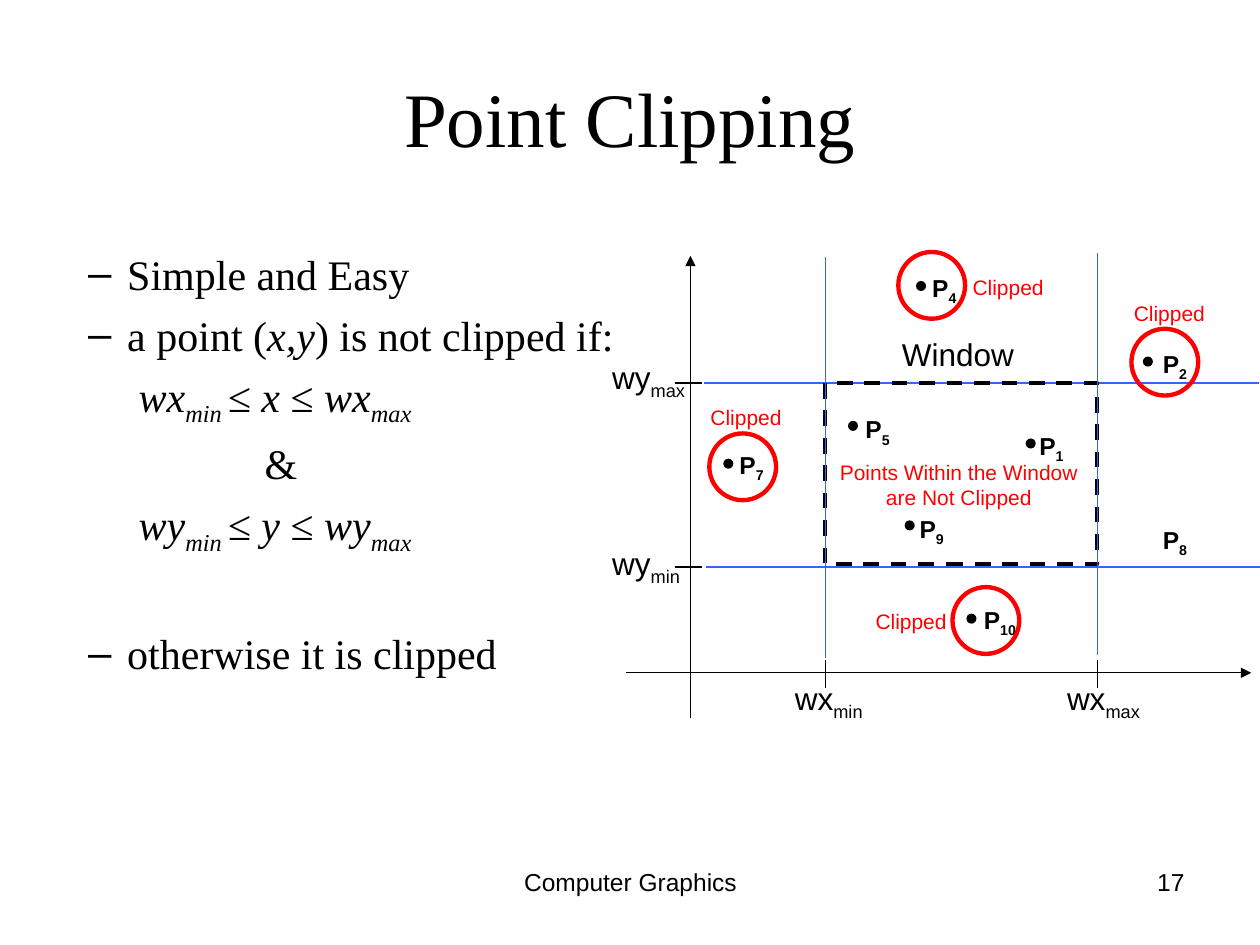
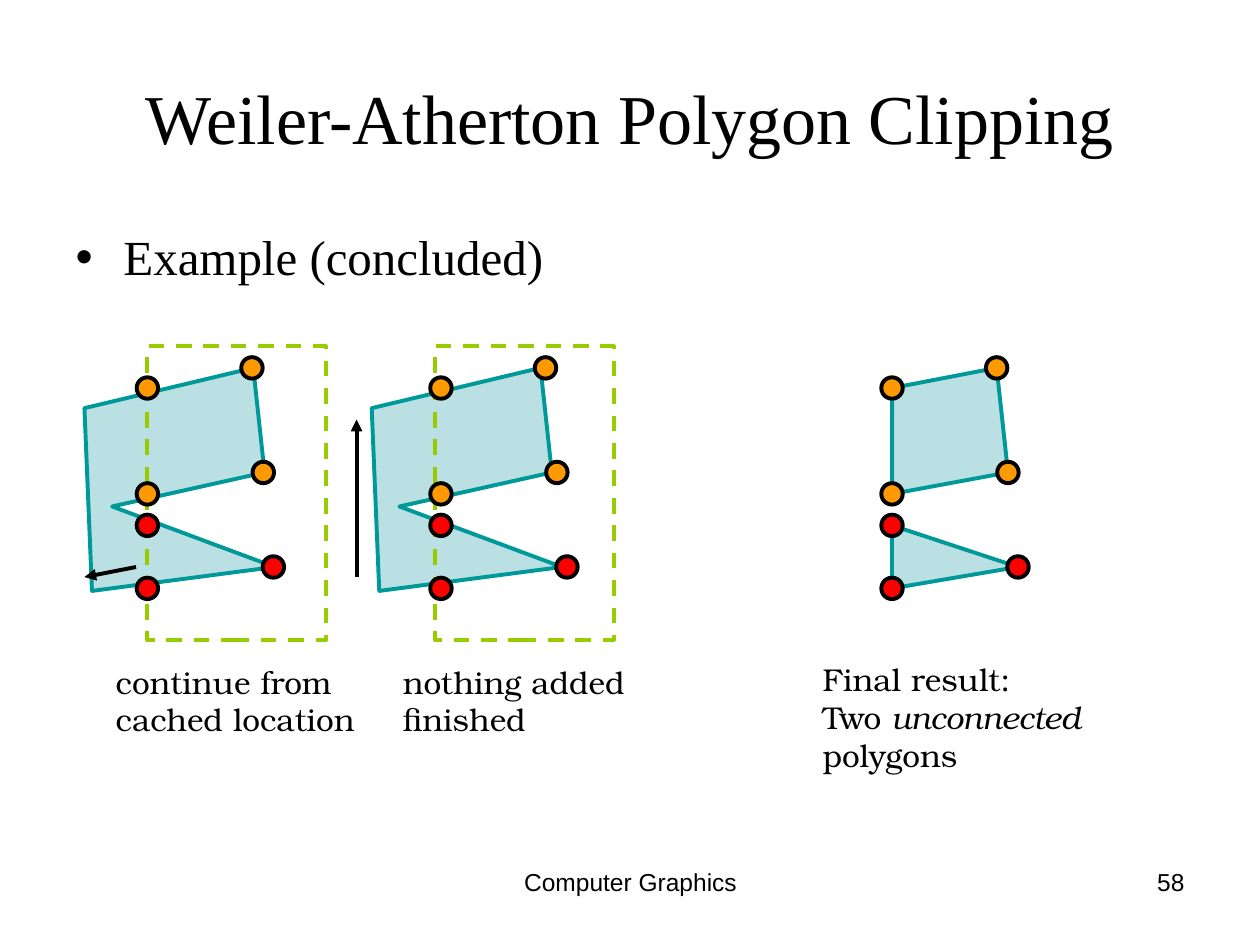
from lxml import etree
from pptx import Presentation
from pptx.dml.color import RGBColor
from pptx.enum.dml import MSO_LINE
from pptx.enum.shapes import MSO_CONNECTOR, MSO_SHAPE
from pptx.enum.text import MSO_ANCHOR, MSO_AUTO_SIZE, PP_ALIGN
from pptx.oxml.ns import qn
from pptx.util import Inches, Pt

LEFT, CENTER, RIGHT = PP_ALIGN.LEFT, PP_ALIGN.CENTER, PP_ALIGN.RIGHT
RECTANGLE, OVAL = MSO_SHAPE.RECTANGLE, MSO_SHAPE.OVAL
STRAIGHT, DASH = MSO_CONNECTOR.STRAIGHT, MSO_LINE.DASH
MIDDLE = MSO_ANCHOR.MIDDLE
FIXED_SIZE, GROW = MSO_AUTO_SIZE.NONE, MSO_AUTO_SIZE.SHAPE_TO_FIT_TEXT

SERIF, SANS, CAPTION_FONT = "Times New Roman", "Arial", "TeX Gyre Bonum"
BLACK, RED, ORANGE = "000000", "FF0000", "FF9900"
GUIDE_BLUE, TEAL, PALE_TEAL, GREEN = "3366FF", "009999", "BBE0E3", "99CC00"

# Clipped pieces: corner points relative to the left clip edge
UPPER_PIECE = [(0, 3.08), (0.83, 2.92), (0.92, 3.75), (0, 3.92)]
LOWER_PIECE = [(0, 4.17), (1, 4.5), (0, 4.67)]
# Subject polygon, relative to its leftmost point
SUBJECT = [(0, 3.24), (1.34, 2.92), (1.43, 3.75), (0.22, 4.02), (1.51, 4.5), (0.06, 4.69)]


def rgb(color):
    return RGBColor.from_string(color)


def style_font(font, name, size, color=BLACK, bold=None):
    font.name, font.size, font.bold = name, Pt(size), bold
    font.color.rgb = rgb(color)


def add_spans(para, spans):
    """Add (text, flags) spans; flag i is italic, flag _ is subscript."""
    for text, flags in spans:
        span = para.add_run()
        span.text = text
        if "i" in flags:
            span.font.italic = True
        if "_" in flags:
            span._r.get_or_add_rPr().set("baseline", "-25000")


def set_indent(para, margin, hanging=0, bullet=None):
    properties = para._p.get_or_add_pPr()
    properties.set("marL", str(Inches(margin)))
    properties.set("indent", str(-Inches(hanging)))
    if bullet:
        color = etree.SubElement(properties, qn("a:buClr"))
        etree.SubElement(color, qn("a:srgbClr")).set("val", BLACK)
        etree.SubElement(properties, qn("a:buChar")).set("char", bullet)
    else:
        etree.SubElement(properties, qn("a:buNone"))


def next_paragraph(frame, index):
    return frame.add_paragraph() if index else frame.paragraphs[0]


def place(shape, left, top, width, height):
    shape.left, shape.top = Inches(left), Inches(top)
    shape.width, shape.height = Inches(width), Inches(height)


def add_text(slide, left, top, width, height, lines, size, font=SANS,
             color=BLACK, align=LEFT, bold=None, wrap=False):
    """Add a text box with one list of spans for each line."""
    box = slide.shapes.add_textbox(Inches(left), Inches(top), Inches(width), Inches(height))
    frame = box.text_frame
    frame.word_wrap = wrap
    frame.auto_size = FIXED_SIZE if wrap else GROW
    for index, spans in enumerate(lines):
        para = next_paragraph(frame, index)
        para.alignment = align
        style_font(para.font, font, size, color, bold)
        add_spans(para, spans)


def paint(shape, fill=None, line=None, weight=2.25, dash=None):
    shape.shadow.inherit = False
    if fill:
        shape.fill.solid()
        shape.fill.fore_color.rgb = rgb(fill)
    else:
        shape.fill.background()
    if line:
        shape.line.color.rgb = rgb(line)
        shape.line.width = Pt(weight)
        if dash:
            shape.line.dash_style = dash
    else:
        shape.line.fill.background()


def add_shape(slide, kind, left, top, width, height, **look):
    shape = slide.shapes.add_shape(
        kind, Inches(left), Inches(top), Inches(width), Inches(height))
    paint(shape, **look)


def add_line(slide, x1, y1, x2, y2, color=BLACK, weight=0.75, arrow=False):
    line = slide.shapes.add_connector(
        STRAIGHT, Inches(x1), Inches(y1), Inches(x2), Inches(y2))
    line.line.color.rgb = rgb(color)
    line.line.width = Pt(weight)
    if arrow:
        outline = line.line._get_or_add_ln()
        etree.SubElement(outline, qn("a:tailEnd")).set("type", "triangle")
    etree.SubElement(line._element.spPr, qn("a:effectLst"))


def add_polygon(slide, left, corners):
    points = [(Inches(left + x), Inches(y)) for x, y in corners]
    builder = slide.shapes.build_freeform(*points[0])
    builder.add_line_segments(points[1:], close=True)
    paint(builder.convert_to_shape(), PALE_TEAL, TEAL)


def add_slide(deck, title, title_size, number):
    slide = deck.slides.add_slide(deck.slide_layouts[1])
    heading = slide.shapes.title
    place(heading, 0.5, 0.3, 9, 1.25)
    frame = heading.text_frame
    frame.text = title
    frame.vertical_anchor, frame.auto_size = MIDDLE, FIXED_SIZE
    para = frame.paragraphs[0]
    para.alignment = CENTER
    style_font(para.font, SERIF, title_size)
    add_text(slide, 3.42, 6.83, 3.17, 0.52, [[("Computer Graphics", "")]], 14,
             align=CENTER, wrap=True)
    add_text(slide, 7.17, 6.83, 2.33, 0.52, [[(str(number), "")]], 14,
             align=RIGHT, wrap=True)
    return slide


def fill_body(slide, area, items, size):
    """Fill the body with (spans, margin, hanging, bullet, space before) items."""
    body = slide.placeholders[1]
    place(body, *area)
    frame = body.text_frame
    frame.auto_size = FIXED_SIZE
    for index, (spans, margin, hanging, bullet, space) in enumerate(items):
        para = next_paragraph(frame, index)
        set_indent(para, margin, hanging, bullet)
        para.space_before = Pt(space)
        style_font(para.font, SERIF, size)
        add_spans(para, spans)


def bounds(axis):
    """Spans of the inequality that keeps a coordinate inside the window."""
    return [(f"w{axis}", "i"), ("min ", "i_"), (f"≤ {axis} ≤ w{axis}", "i"), ("max", "i_")]


def add_limit_label(slide, left, top, axis, limit):
    width = 0.78 if limit == "max" else 0.74
    add_text(slide, left, top, width, 0.44, [[(f"w{axis}", ""), (limit, "_")]], 18)


def add_point(slide, number, left, top, dot=None):
    width = 0.47 if number > 9 else 0.39
    add_text(slide, left, top, width, 0.37, [[("P", ""), (str(number), "_")]], 14, bold=True)
    if dot:
        add_shape(slide, OVAL, *dot, 0.08, 0.08, fill=BLACK)


def add_clipped_mark(slide, ring, label):
    add_shape(slide, OVAL, *ring, 0.53, 0.53, line=RED, weight=2.5)
    add_text(slide, *label, 0.78, 0.3, [[("Clipped", "")]], 12, color=RED)


def draw_window(slide):
    x_min, x_max, y_max, y_min = 6.55, 8.71, 3.04, 4.5
    add_line(slide, 9.99, y_max, 5.59, y_max, GUIDE_BLUE)
    add_line(slide, 4.97, 5.34, 9.93, 5.34, arrow=True)
    add_line(slide, 5.48, 5.7, 5.48, 2.03, arrow=True)
    add_shape(slide, RECTANGLE, x_min, y_max, 2.16, 1.44, line=BLACK, dash=DASH)
    for y in (y_max, y_min):
        add_line(slide, 5.57, y, 5.36, y)
    for x in (x_min, x_max):
        add_line(slide, x, 5.24, x, 5.46)
    add_line(slide, 10, y_min, 5.6, y_min, GUIDE_BLUE)
    add_line(slide, x_min, 2.04, x_min, 5.22, GUIDE_BLUE)
    add_line(slide, x_max, 2.01, x_max, 5.2, GUIDE_BLUE)

    add_limit_label(slide, 4.76, 2.79, "y", "max")
    add_limit_label(slide, 4.76, 4.27, "y", "min")
    add_limit_label(slide, 6.21, 5.34, "x", "min")
    add_limit_label(slide, 8.37, 5.34, "x", "max")
    add_text(slide, 7.06, 2.61, 1.09, 0.4, [[("Window", "")]], 18)
    add_text(slide, x_min, 3.6, 2.12, 0.5,
             [[("Points Within the Window are Not Clipped", "")]], 12,
             color=RED, align=CENTER, wrap=True)


def build_point_clipping(deck):
    slide = add_slide(deck, "Point Clipping", 44, 17)
    dash_item = (0.91, 0.31, "–")
    condition = [("a point (", ""), ("x,y", "i"), (") is not clipped if:", "")]
    fill_body(slide, (0, 1.92, 5.08, 4.08), [
        ([("Simple and Easy", "")], *dash_item, 0),
        (condition, *dash_item, 6),
        (bounds("x"), 1, 0, None, 6),
        ([("&", "")], 2, 0, None, 6),
        (bounds("y"), 1, 0, None, 6),
        ([("otherwise it is clipped", "")], *dash_item, 41),
    ], 24)
    draw_window(slide)
    for number, left, top, dot in (
        (1, 8.15, 3.37, (8.14, 3.48)),
        (2, 9.13, 2.72, (9.07, 2.83)),
        (4, 7.3, 2.12, (7.27, 2.23)),
        (5, 6.77, 3.24, (6.73, 3.34)),
        (7, 5.77, 3.52, (5.74, 3.64)),
        (8, 9.13, 4.12, None),
        (9, 7.2, 4.03, (7.18, 4.13)),
        (10, 7.71, 4.75, (7.67, 4.87)),
    ):
        add_point(slide, number, left, top, dot)
    for ring, label in (
        ((8.98, 2.61), (8.9, 2.34)),
        ((7.13, 2), (7.62, 2.13)),
        ((7.56, 4.66), (6.85, 4.78)),
        ((5.63, 3.44), (5.54, 3.16)),
    ):
        add_clipped_mark(slide, ring, label)


def add_vertices(slide, left):
    size = 0.17
    for corners, color in ((UPPER_PIECE, ORANGE), (LOWER_PIECE, RED)):
        for x, y in corners:
            add_shape(slide, OVAL, left + x - size / 2, y - size / 2, size, size,
                      fill=color, line=BLACK)


def add_clip_step(slide, subject_left, vertices_left, arrow, caption_width, caption):
    add_polygon(slide, subject_left, SUBJECT)
    add_shape(slide, RECTANGLE, subject_left + 0.5, 2.75, 1.42, 2.33, line=GREEN, dash=DASH)
    add_line(slide, *arrow, weight=2.25, arrow=True)
    add_vertices(slide, vertices_left)
    add_text(slide, subject_left + 0.15, 5.21, caption_width, 0.7,
             [[(line, "")] for line in caption], 18, CAPTION_FONT)


def build_weiler_atherton(deck):
    slide = add_slide(deck, "Weiler-Atherton Polygon Clipping", 40, 58)
    fill_body(slide, (0.5, 1.75, 9, 4.95),
              [([("Example (concluded)", "")], 0.38, 0.38, "•", 0)], 28)
    add_clip_step(slide, 0.67, 1.17, (1.08, 4.5, 0.67, 4.58), 2.1,
                  ["continue from", "cached location"])
    add_clip_step(slide, 2.95, 3.5, (2.83, 4.58, 2.83, 3.33), 1.96,
                  ["nothing added", "finished"])

    result_left = 7.08
    for piece in (UPPER_PIECE, LOWER_PIECE):
        add_polygon(slide, result_left, piece)
    add_vertices(slide, result_left)
    add_text(slide, 6.43, 5.19, 2.28, 1,
             [[("Final result:", "")], [("Two ", ""), ("unconnected", "i")],
              [("polygons", "")]], 18, CAPTION_FONT)


def main():
    deck = Presentation()
    deck.slide_width, deck.slide_height = Inches(10), Inches(7.5)
    build_point_clipping(deck)
    build_weiler_atherton(deck)
    deck.save("out.pptx")


if __name__ == "__main__":
    main()
